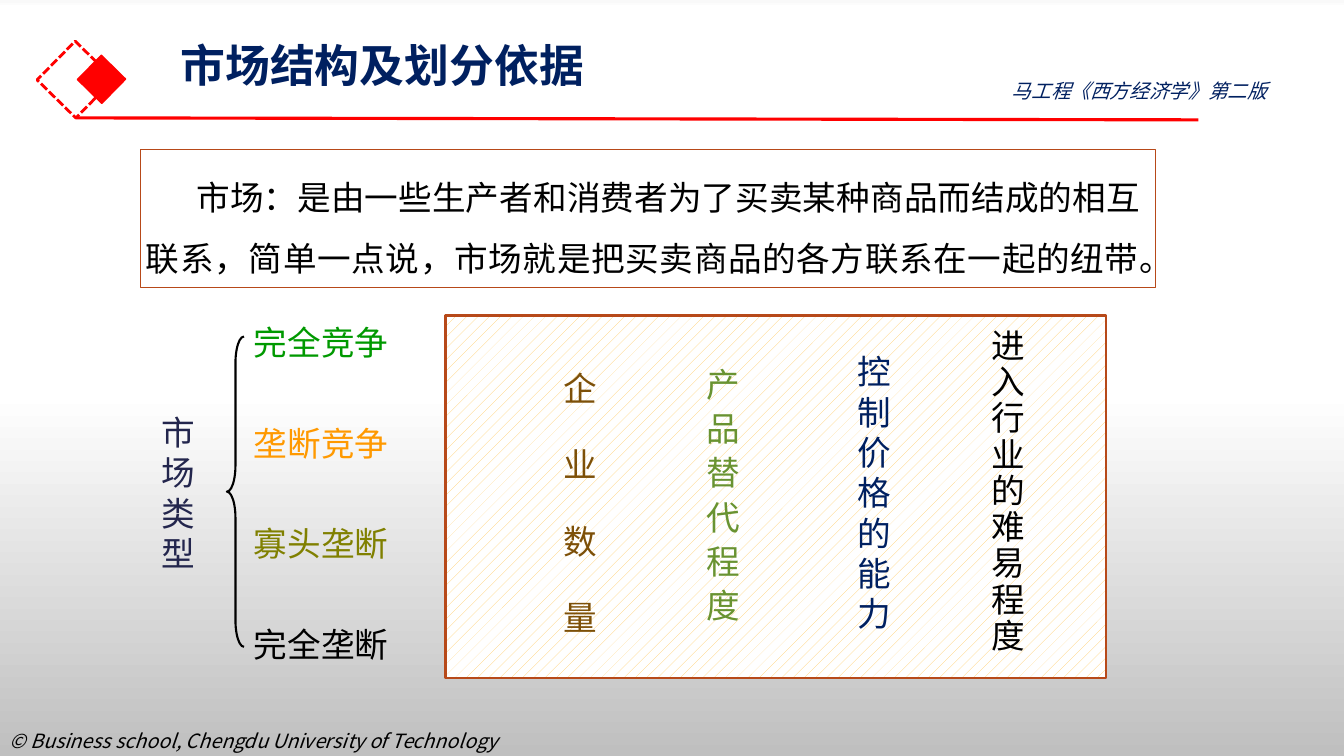
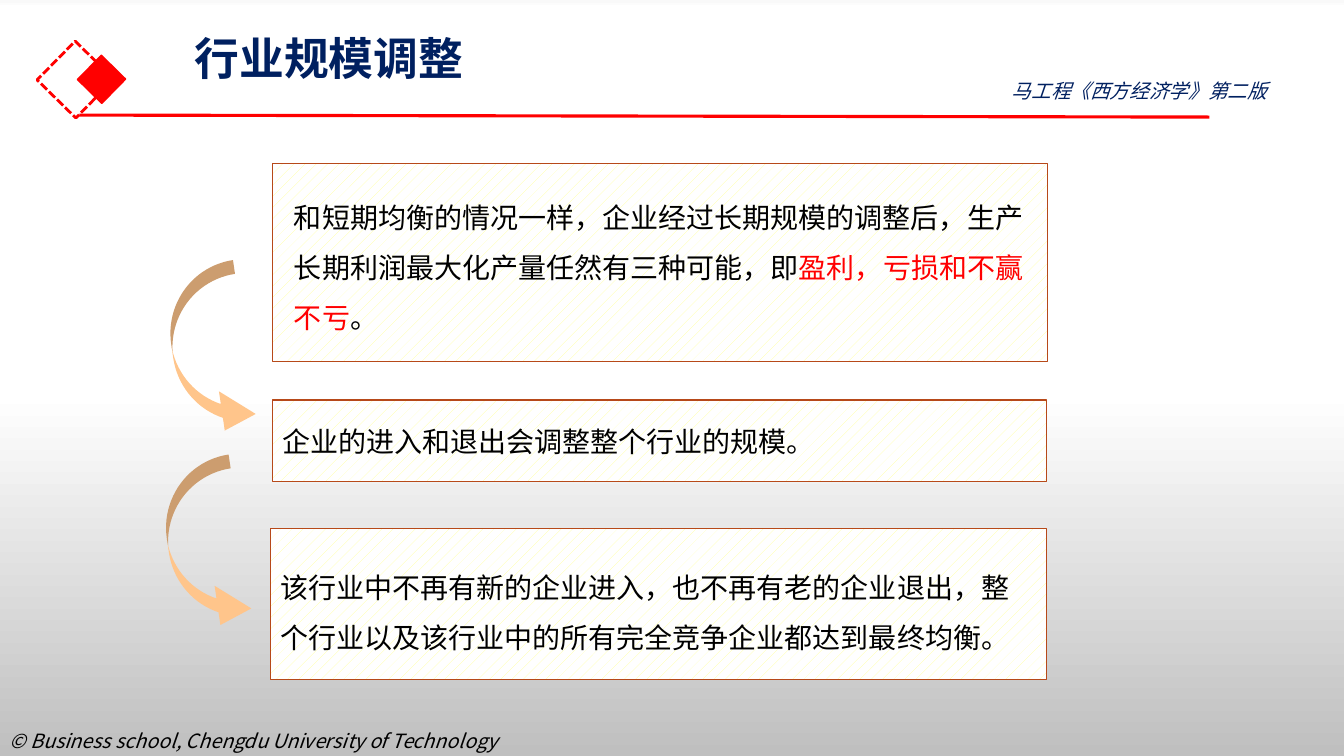
from lxml import etree
from pptx import Presentation
from pptx.dml.color import RGBColor
from pptx.enum.dml import MSO_LINE, MSO_PATTERN
from pptx.enum.shapes import MSO_CONNECTOR, MSO_SHAPE as SHAPE
from pptx.enum.text import MSO_ANCHOR as ANCHOR, MSO_AUTO_SIZE, PP_ALIGN as ALIGN
from pptx.oxml.ns import qn
from pptx.util import Cm, Pt

FONT = "Noto Sans CJK SC"
C = {
    "black": "000000", "white": "FFFFFF", "navy": "002060", "red": "FF0000",
    "rust": "B74919", "green": "009900", "orange": "FF9900", "olive": "808000",
    "brown": "7D5008", "leaf": "699331", "indigo": "23264D", "peach": "FFC58B",
    "gold": "FFCC66", "lemon": "FFFF99", "mist": "F9F9F9", "grey": "BFBFBF",
}


def add(s, kind, box, fill=None, pattern=None, line=None, width=0.75, rotation=0):
    """Add a preset shape, or a text box when kind is None; box is in cm."""
    box = [Cm(v) for v in box]
    if kind is None:
        return s.shapes.add_textbox(*box)
    sp = s.shapes.add_shape(kind, *box)
    sp.shadow.inherit = False
    sp.rotation = rotation
    if pattern:
        sp.fill.patterned()
        sp.fill.pattern = MSO_PATTERN.PERCENT_10
        sp.fill.fore_color.rgb = RGBColor.from_string(C[pattern])
        sp.fill.back_color.rgb = RGBColor.from_string(C["white"])
    elif fill:
        sp.fill.solid()
        sp.fill.fore_color.rgb = RGBColor.from_string(C[fill])
    else:
        sp.fill.background()
    if line:
        sp.line.color.rgb = RGBColor.from_string(C[line])
        sp.line.width = Pt(width)
    else:
        sp.line.fill.background()
    return sp


def write(sp, text, size=24, color="black", bold=False, italic=False, align=ALIGN.LEFT,
          anchor=ANCHOR.TOP, spacing=1.0, indent=0, margins=(0.25, 0.13, 0.25, 0.13)):
    """Write one paragraph; text is a string or a list of (text, colour) runs."""
    tf = sp.text_frame
    tf.word_wrap = True
    tf.auto_size = MSO_AUTO_SIZE.NONE
    tf.vertical_anchor = anchor
    tf.margin_left, tf.margin_top, tf.margin_right, tf.margin_bottom = map(Cm, margins)
    p = tf.paragraphs[0]
    p.alignment = align
    p.line_spacing = spacing
    if indent:
        p._p.get_or_add_pPr().set("indent", str(Cm(indent)))
    for words, shade in [(text, color)] if isinstance(text, str) else text:
        r = p.add_run()
        r.text = words
        r.font.name = FONT
        r.font.size = Pt(size)
        r.font.bold = bold
        r.font.italic = italic
        r.font.color.rgb = RGBColor.from_string(C[shade])
        etree.SubElement(r._r.get_or_add_rPr(), qn("a:ea"), typeface=FONT)


prs = Presentation()
prs.slide_width, prs.slide_height = Cm(33.87), Cm(19.05)

# Gradient background on the master
bg = prs.slide_master.background
bg.fill.gradient()
bg.fill.gradient_angle = 270
stops = next(prs.slide_master._element.iter(qn("a:gsLst")))
for stop in list(stops):
    stops.remove(stop)
for pos, shade in [(0, "mist"), (1, "white"), (52, "white"), (100, "grey")]:
    stop = etree.SubElement(stops, qn("a:gs"), pos=str(pos * 1000))
    etree.SubElement(stop, qn("a:srgbClr"), val=C[shade])

# Shared frame: title, diamonds, rule, book name, footer
slides = []
for title, (left, top), (x1, y1, x2, y2) in [
    ("市场结构及划分依据", (4.3, 0.42), (1.9, 2.97, 30.2, 3.02)),
    ("行业规模调整", (4.65, 0.25), (2, 2.9, 30.48, 2.95)),
]:
    s = prs.slides.add_slide(prs.slide_layouts[5])
    slides.append(s)
    sp = s.shapes.title
    sp.left, sp.top, sp.width, sp.height = Cm(left), Cm(top), Cm(29.2), Cm(2.4)
    write(sp, title, size=32, color="navy", bold=True, anchor=ANCHOR.MIDDLE)
    diamond = add(s, SHAPE.RECTANGLE, (1.22, 1.32, 1.37, 1.37), line="red", width=2,
                  rotation=314.5)
    diamond.line.dash_style = MSO_LINE.SQUARE_DOT
    add(s, SHAPE.RECTANGLE, (2.13, 1.57, 0.86, 0.86), fill="red", line="red", width=1,
        rotation=314.5)
    rule = s.shapes.add_connector(MSO_CONNECTOR.STRAIGHT, Cm(x1), Cm(y1), Cm(x2), Cm(y2))
    rule.line.color.rgb = RGBColor.from_string(C["red"])
    rule.line.width = Pt(2.25)
    etree.SubElement(rule._element.spPr, qn("a:effectLst"))
    write(add(s, None, (25.25, 1.85, 8.23, 0.86)), "马工程《西方经济学》第二版",
          size=14, color="navy", italic=True)
    write(add(s, None, (0, 18.24, 13.49, 0.86)),
          "© Business school, Chengdu University of Technology", size=14, italic=True)

# Slide 1: definition of a market
s = slides[0]
definition = add(s, SHAPE.RECTANGLE, (3.53, 3.76, 25.58, 3.48), line="rust")
write(definition,
      "市场：是由一些生产者和消费者为了买卖某种商品而结成的相互联系，"
      "简单一点说，市场就是把买卖商品的各方联系在一起的纽带。",
      align=ALIGN.JUSTIFY, spacing=1.5, indent=1.27, margins=(0.15, 0.2, 0.38, 0.13))

# Slide 1: market types beside a brace
write(add(s, None, (3.81, 8.28, 1.7, 8.26)), "市场类型", color="indigo",
      anchor=ANCHOR.MIDDLE, margins=(0.25, 0.13, 0.55, 0.13))
brace = add(s, SHAPE.LEFT_BRACE, (5.72, 8.48, 0.43, 7.82), line="black", width=1.5)
brace.adjustments[0] = 1.54
for i, (name, shade) in enumerate([("完全竞争", "green"), ("垄断竞争", "orange"),
                                   ("寡头垄断", "olive"), ("完全垄断", "black")]):
    write(add(s, None, (6.15, 8.08 + 2.54 * i, 4.45, 1.07)), name, color=shade,
          anchor=ANCHOR.MIDDLE)

# Slide 1: criteria, one character a line
add(s, SHAPE.RECTANGLE, (11.23, 7.95, 16.64, 9.14), pattern="gold", line="rust", width=1.75)
for name, shade, left, top, spacing in [
    ("企业数量", "brown", 13.94, 8.08, 1.9),
    ("产品替代程度", "leaf", 17.55, 8.28, 1.1),
    ("控制价格的能力", "navy", 21.36, 8.28, 1.0),
    ("进入行业的难易程度", "black", 24.74, 8.28, 0.9),
]:
    write(add(s, None, (left, top, 1.07, 8.26)), name, color=shade,
          anchor=ANCHOR.MIDDLE, spacing=spacing)

# Slide 2: three steps
s = slides[1]
for box, text, spacing, margins in [
    ((6.86, 4.11, 19.53, 5),
     [("和短期均衡的情况一样，企业经过长期规模的调整后，"
       "生产长期利润最大化产量任然有三种可能，即", "black"),
      ("盈利，亏损和不赢不亏", "red"), ("。", "black")], 1.5, (0.55, 0.13, 0.25, 0.3)),
    ((6.86, 10.08, 19.51, 2.06), "企业的进入和退出会调整整个行业的规模。",
     1.0, (0.25, 0.13, 0.25, 0.13)),
    ((6.81, 13.31, 19.56, 3.81),
     "该行业中不再有新的企业进入，也不再有老的企业退出，"
     "整个行业以及该行业中的所有完全竞争企业都达到最终均衡。",
     1.5, (0.25, 0.13, 0.25, 0.13)),
]:
    sp = add(s, SHAPE.ACTION_BUTTON_CUSTOM, box, pattern="lemon", line="rust")
    write(sp, text, size=20, anchor=ANCHOR.MIDDLE, spacing=spacing, margins=margins)

# Slide 2: curved arrows from step to step
for left, top in [(3.07, 7.95), (2.96, 12.85)]:
    arrow = add(s, SHAPE.CURVED_DOWN_ARROW, (left, top, 4.42, 1.85), fill="peach",
                rotation=81.6)
    arrow._element.spPr.xfrm.set("flipV", "1")
    for i, value in enumerate([0.19, 0.54, 0.45]):
        arrow.adjustments[i] = value

prs.save("out.pptx")
